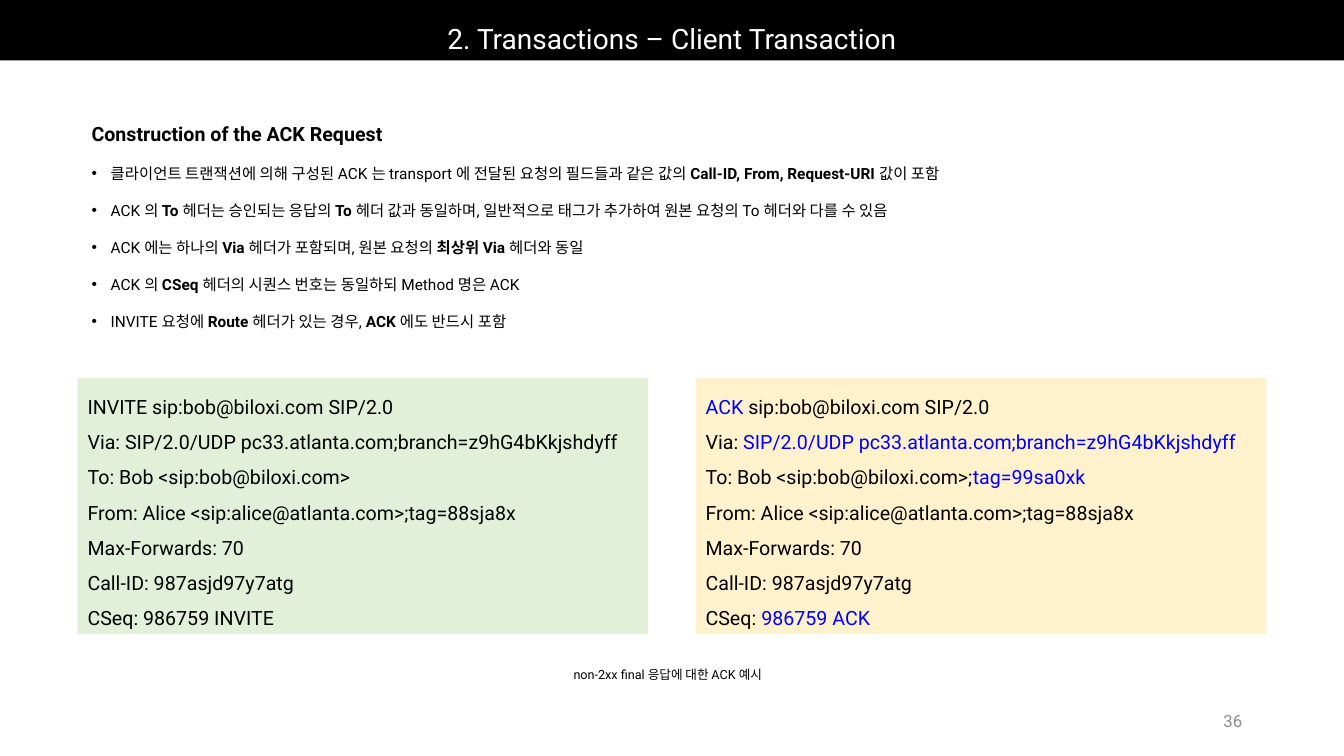
from lxml import etree
from pptx import Presentation
from pptx.dml.color import RGBColor
from pptx.enum.shapes import MSO_SHAPE
from pptx.enum.text import MSO_ANCHOR, PP_ALIGN
from pptx.oxml.ns import qn
from pptx.util import Inches, Pt

RECTANGLE = MSO_SHAPE.RECTANGLE
TOP, MIDDLE, BOTTOM = MSO_ANCHOR.TOP, MSO_ANCHOR.MIDDLE, MSO_ANCHOR.BOTTOM
LEFT, CENTER, RIGHT = PP_ALIGN.LEFT, PP_ALIGN.CENTER, PP_ALIGN.RIGHT

FONT = "Roboto"
BLACK, WHITE, GRAY, BLUE = "000000", "FFFFFF", "8C8C8C", "0000FF"

# Text between asterisks is emphasised.
TITLE = "2. Transactions – Client Transaction"
HEADING = "*Construction of the ACK Request*"
BULLETS = [
    "클라이언트 트랜잭션에 의해 구성된 ACK 는 transport 에 전달된 요청의 필드들과 같은 값의 "
    "*Call-ID, From, Request-URI *값이 포함",
    "ACK 의 *To *헤더는 승인되는 응답의 *To *헤더 값과 동일하며, "
    "일반적으로 태그가 추가하여 원본 요청의 To 헤더와 다를 수 있음",
    "ACK 에는 하나의 *Via *헤더가 포함되며, 원본 요청의 *최상위 Via *헤더와 동일",
    "ACK 의 *CSeq *헤더의 시퀀스 번호는 동일하되 Method 명은 ACK",
    "INVITE 요청에 *Route *헤더가 있는 경우, *ACK *에도 반드시 포함",
]
MESSAGES = [
    ("E2F0D9", [
        "INVITE sip:bob@biloxi.com SIP/2.0",
        "Via: SIP/2.0/UDP pc33.atlanta.com;branch=z9hG4bKkjshdyff",
        "To: Bob <sip:bob@biloxi.com>",
        "From: Alice <sip:alice@atlanta.com>;tag=88sja8x",
        "Max-Forwards: 70",
        "Call-ID: 987asjd97y7atg",
        "CSeq: 986759 INVITE",
    ]),
    ("FFF2CC", [
        "*ACK* sip:bob@biloxi.com SIP/2.0",
        "Via: *SIP/2.0/UDP pc33.atlanta.com;branch=z9hG4bKkjshdyff*",
        "To: Bob <sip:bob@biloxi.com>;*tag=99sa0xk*",
        "From: Alice <sip:alice@atlanta.com>;tag=88sja8x",
        "Max-Forwards: 70",
        "Call-ID: 987asjd97y7atg",
        "CSeq: *986759 ACK*",
    ]),
]
CAPTION = "non-2xx final 응답에 대한 ACK 예시"
PAGE_NUMBER = "36"

SLIDE_WIDTH, SLIDE_HEIGHT = 13.33, 7.5
MESSAGE_LEFT, MESSAGE_TOP = 0.77, SLIDE_HEIGHT / 2
MESSAGE_WIDTH, MESSAGE_HEIGHT = 5.66, 2.54
MESSAGE_PITCH = SLIDE_WIDTH - 2 * MESSAGE_LEFT - MESSAGE_WIDTH + 0.01 - 0.78
BULLET_INDENT = Inches(0.19)


def rgb(value):
    return RGBColor.from_string(value)


def add_panel(slide, box, fill):
    panel = slide.shapes.add_shape(RECTANGLE, *map(Inches, box))
    panel.shadow.inherit = False
    panel.fill.solid()
    panel.fill.fore_color.rgb = rgb(fill)
    panel.line.fill.background()
    return panel


def add_text_box(slide, box):
    return slide.shapes.add_textbox(*map(Inches, box))


def write(shape, lines, size, color=BLACK, accent=None, align=LEFT, anchor=TOP, spacing=1.0):
    """Fill a shape with lines; emphasis is the accent colour, or bold without one."""
    frame = shape.text_frame
    frame.word_wrap = True
    frame.vertical_anchor = anchor
    frame.text = "\n".join(line.replace("*", "") for line in lines)
    for paragraph, line in zip(frame.paragraphs, lines):
        paragraph.clear()
        paragraph.alignment = align
        paragraph.line_spacing = spacing
        for index, part in enumerate(line.split("*")):
            if not part:
                continue
            emphasised = index % 2 == 1
            run = paragraph.add_run()
            run.text = part
            run.font.name = FONT
            run.font.size = Pt(size)
            run.font.bold = emphasised and accent is None
            run.font.color.rgb = rgb(accent if emphasised and accent else color)
    return frame.paragraphs


def add_bullet(paragraph):
    properties = paragraph._p.get_or_add_pPr()
    properties.set("marL", str(BULLET_INDENT))
    properties.set("indent", str(-BULLET_INDENT))
    etree.SubElement(properties, qn("a:buFont")).set("typeface", "Arial")
    etree.SubElement(properties, qn("a:buChar")).set("char", "•")


def main():
    presentation = Presentation()
    presentation.slide_width = Inches(SLIDE_WIDTH)
    presentation.slide_height = Inches(SLIDE_HEIGHT)
    slide = presentation.slides.add_slide(presentation.slide_layouts[6])

    title_bar = add_panel(slide, (0, 0, SLIDE_WIDTH, 0.08 * SLIDE_HEIGHT), BLACK)
    write(title_bar, [TITLE], 20, WHITE, align=CENTER, anchor=BOTTOM, spacing=0.9)

    page_number = add_text_box(slide, (9.42, 6.95, 3, 0.4))
    write(page_number, [PAGE_NUMBER], 12, GRAY, align=RIGHT, anchor=MIDDLE)

    explanation = add_text_box(slide, (0.81, 0.93, 9.03, 2.37))
    heading, *bullets = write(explanation, [HEADING, *BULLETS], 11, spacing=2.0)
    heading.runs[0].font.size = Pt(14)
    for paragraph in bullets:
        add_bullet(paragraph)

    for column, (fill, lines) in enumerate(MESSAGES):
        left = MESSAGE_LEFT + column * (SLIDE_WIDTH - 2 * MESSAGE_LEFT - MESSAGE_WIDTH)
        message = add_panel(slide, (left, MESSAGE_TOP, MESSAGE_WIDTH, MESSAGE_HEIGHT), fill)
        write(message, lines, 14, accent=BLUE, spacing=1.5)

    caption = add_text_box(slide, (5.59, 6.57, 2.17, 0.25))
    write(caption, [CAPTION], 9)

    presentation.save("out.pptx")


if __name__ == "__main__":
    main()
